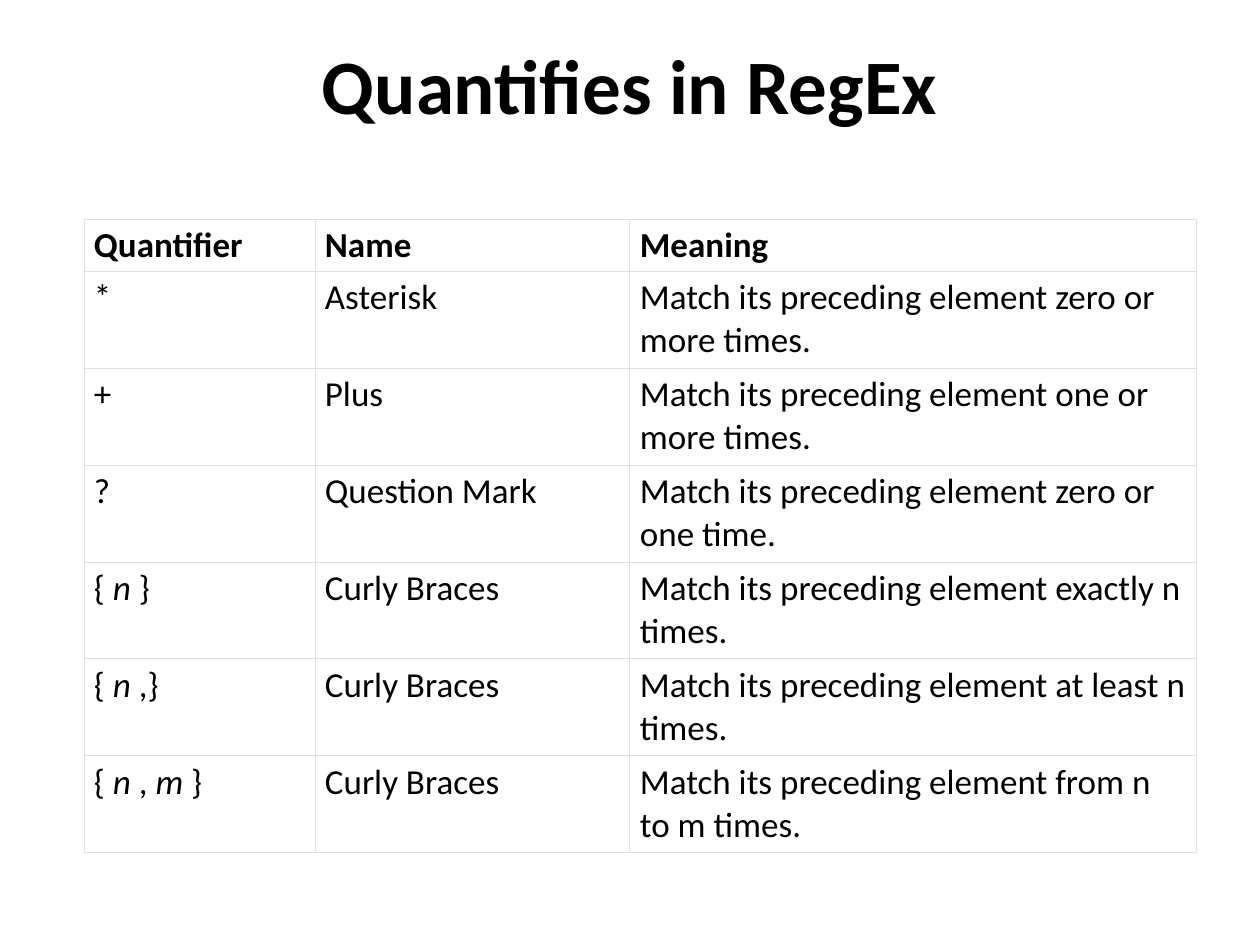
from itertools import product

from lxml import etree
from pptx import Presentation
from pptx import util as u
from pptx.dml.color import RGBColor
from pptx.enum import text
from pptx.oxml.ns import qn

# Content: a cell is a string, or a list of runs where every second one is italic
TITLE = "Quantifies in RegEx"
ROWS = [
    ("Quantifier", "Name", "Meaning"),
    ("*", "Asterisk", "Match its preceding element zero or more times."),
    ("+", "Plus", "Match its preceding element one or more times."),
    ("?", "Question Mark", "Match its preceding element zero or one time."),
    (["{ ", "n", " }"], "Curly Braces",
     "Match its preceding element exactly n times."),
    (["{ ", "n", " ,}"], "Curly Braces",
     "Match its preceding element at least n times."),
    (["{ ", "n", " , ", "m", " }"], "Curly Braces",
     "Match its preceding element from n to m times."),
]

# Format
COLORS = {"text": "000000", "fill": "FFFFFF", "border": "DEE2E6"}
PX = u.Inches(1) // 126
TITLE_BOX = (0, 21, 1260, 126)
TABLE_AT = (84, 219)
COL_WIDTHS = (231, 315, 567)
HEADER_H, ROW_H = 39, 97
MARGINS = {"margin_left": 10, "margin_right": 10, "margin_top": 5, "margin_bottom": 5}
BORDER_W = u.Pt(0.6)


def px(*values):
    return [v * PX for v in values]


def add_run(p, words, **fmt):
    r = p.add_run()
    r.text = words
    r.font.color.rgb = RGBColor.from_string(COLORS["text"])
    for name, value in {"name": "Calibri", **fmt}.items():
        setattr(r.font, name, value)


def add_borders(cell):
    tc_pr = cell._tc.get_or_add_tcPr()
    for i, side in enumerate(("lnL", "lnR", "lnT", "lnB")):
        ln = etree.Element(qn(f"a:{side}"), w=str(BORDER_W))
        fill = etree.SubElement(ln, qn("a:solidFill"))
        etree.SubElement(fill, qn("a:srgbClr"), val=COLORS["border"])
        tc_pr.insert(i, ln)


prs = Presentation()
prs.slide_width, prs.slide_height = px(1260, 945)
s = prs.slides.add_slide(prs.slide_layouts[6])

# Title
tf = s.shapes.add_textbox(*px(*TITLE_BOX)).text_frame
tf.word_wrap = True
tf.vertical_anchor = text.MSO_ANCHOR.MIDDLE
p = tf.paragraphs[0]
p.alignment = text.PP_ALIGN.CENTER
add_run(p, TITLE, size=u.Pt(44), bold=True)

# Table
heights = [HEADER_H] + [ROW_H] * (len(ROWS) - 1)
table = s.shapes.add_table(len(ROWS), len(COL_WIDTHS),
                           *px(*TABLE_AT, sum(COL_WIDTHS), sum(heights))).table
table.first_row = table.horz_banding = False
for col, width in zip(table.columns, px(*COL_WIDTHS)):
    col.width = width
for row, height in zip(table.rows, px(*heights)):
    row.height = height

for i, j in product(range(len(ROWS)), range(len(COL_WIDTHS))):
    cell, content = table.cell(i, j), ROWS[i][j]
    for name, value in MARGINS.items():
        setattr(cell, name, value * PX)
    cell.fill.solid()
    cell.fill.fore_color.rgb = RGBColor.from_string(COLORS["fill"])
    add_borders(cell)
    runs = [content] if isinstance(content, str) else content
    for k, words in enumerate(runs):
        add_run(cell.text_frame.paragraphs[0], words,
                size=u.Pt(20), bold=i == 0, italic=k % 2 == 1)

prs.save("out.pptx")
